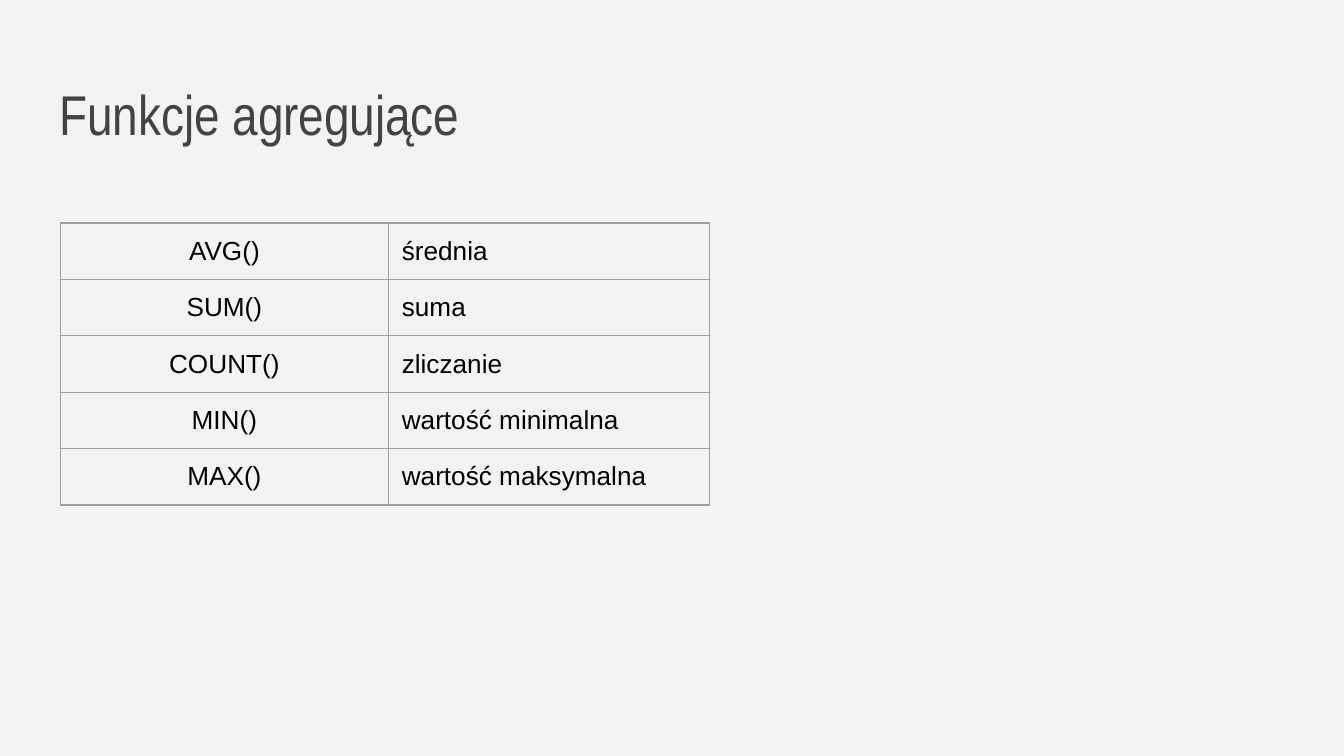
"""Build a slide that lists the SQL aggregate functions in a table."""
from lxml.etree import SubElement
from pptx import Presentation
from pptx.dml.color import RGBColor
from pptx.enum.text import MSO_ANCHOR, MSO_AUTO_SIZE, PP_ALIGN
from pptx.oxml.ns import qn
from pptx.util import Inches, Pt

COLORS = {"background": "F3F3F3", "title": "434343", "text": "000000", "border": "9E9E9E"}
FUNCTIONS = [
    ("AVG()", "średnia"),
    ("SUM()", "suma"),
    ("COUNT()", "zliczanie"),
    ("MIN()", "wartość minimalna"),
    ("MAX()", "wartość maksymalna"),
]
COLUMN_WIDTHS = [2.44, 2.39]
ALIGNMENTS = [PP_ALIGN.CENTER, PP_ALIGN.LEFT]
ROW_HEIGHT = 0.42
MARGINS = {f"margin_{side}": Inches(0.1) for side in ("left", "top", "right", "bottom")}


def write_text(frame, text, alignment, font_name, size, color):
    paragraph = frame.paragraphs[0]
    paragraph.alignment = alignment
    run = paragraph.add_run()
    run.text = text
    for name, value in {"name": font_name, "size": Pt(size), "bold": False}.items():
        setattr(run.font, name, value)
    run.font.color.rgb = RGBColor.from_string(COLORS[color])


def format_cell(cell):
    for name, value in MARGINS.items():
        setattr(cell, name, value)
    cell.vertical_anchor = MSO_ANCHOR.TOP
    properties = cell._tc.get_or_add_tcPr()
    for edge in ("lnL", "lnR", "lnT", "lnB"):
        line = SubElement(properties, qn(f"a:{edge}"), w=str(Pt(0.75)))
        fill = SubElement(line, qn("a:solidFill"))
        SubElement(fill, qn("a:srgbClr"), val=COLORS["border"])
    cell.fill.background()


presentation = Presentation()
presentation.slide_width = Inches(10)
presentation.slide_height = Inches(10 * 9 / 16)
slide = presentation.slides.add_slide(presentation.slide_layouts[5])
slide.background.fill.solid()
slide.background.fill.fore_color.rgb = RGBColor.from_string(COLORS["background"])

title = slide.shapes.title
title_place = {"left": 0.34, "top": 0.49, "width": 9.32, "height": 0.63}
for name, value in title_place.items():
    setattr(title, name, Inches(value))
title_format = {
    **MARGINS,
    "word_wrap": True,
    "auto_size": MSO_AUTO_SIZE.NONE,
    "vertical_anchor": MSO_ANCHOR.TOP,
}
for name, value in title_format.items():
    setattr(title.text_frame, name, value)
write_text(title.text_frame, "Funkcje agregujące", PP_ALIGN.LEFT, "Arial Narrow", 30, "title")

table = slide.shapes.add_table(
    len(FUNCTIONS), len(COLUMN_WIDTHS), Inches(0.45), Inches(1.66),
    Inches(sum(COLUMN_WIDTHS)), Inches(ROW_HEIGHT * len(FUNCTIONS)),
).table
table.first_row = False
table.horz_banding = False
for column, width in zip(table.columns, COLUMN_WIDTHS):
    column.width = Inches(width)
for row, texts in zip(table.rows, FUNCTIONS):
    row.height = Inches(ROW_HEIGHT)
    for cell, text, alignment in zip(row.cells, texts, ALIGNMENTS):
        format_cell(cell)
        write_text(cell.text_frame, text, alignment, "Arial", 14, "text")

presentation.save("out.pptx")
